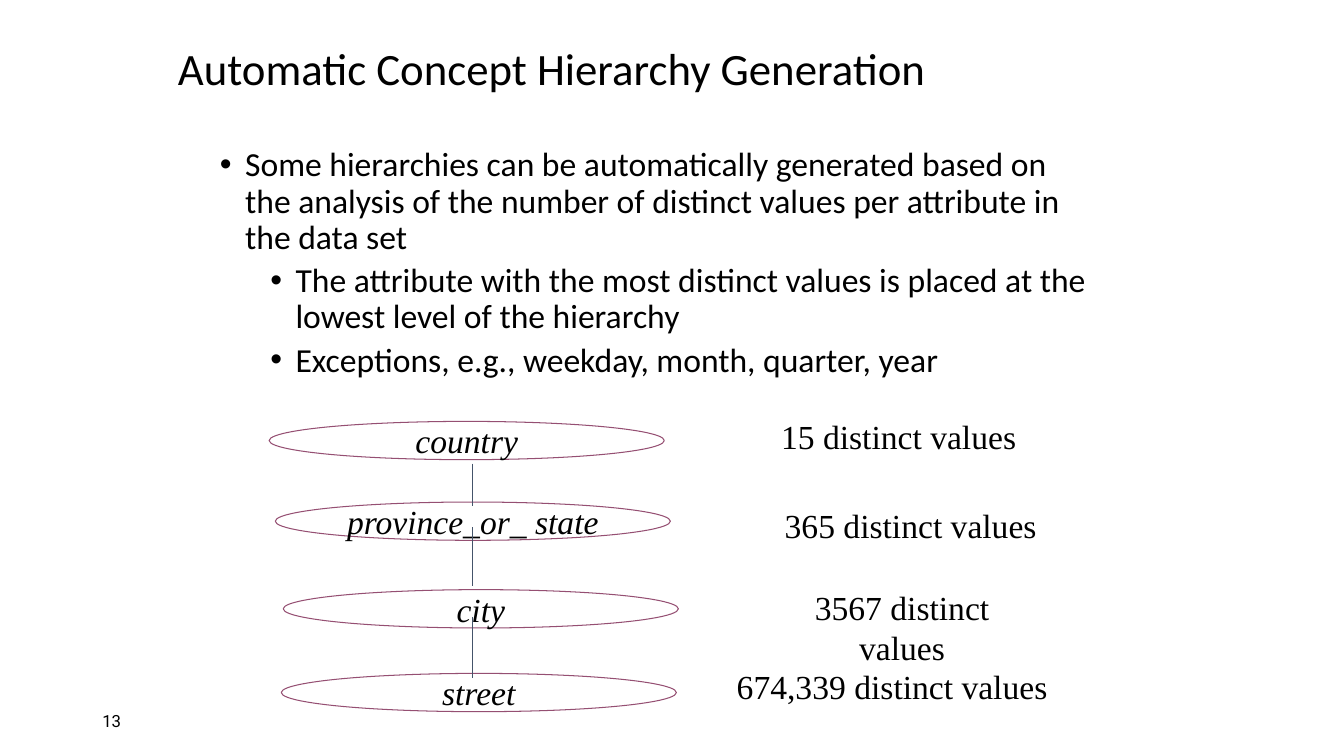
from dataclasses import dataclass

import lxml.etree
import pptx
import pptx.dml.color
import pptx.enum.shapes
import pptx.enum.text
import pptx.oxml.ns
import pptx.util

Pt = pptx.util.Pt
ALIGN = pptx.enum.text.PP_ALIGN
ANCHOR = pptx.enum.text.MSO_ANCHOR
COLORS = {"text": "000000", "ellipse": "954F72", "link": "44546A"}
SERIF = "Times New Roman"
SANS = "Calibri"
ELLIPSE_SIZE = (282.24, 27.36)
LABEL_HEIGHT = 36
LINK_X = 337.7


@dataclass
class Bullet:
    text: str
    level: int
    indent: float
    space_before: float


@dataclass
class Level:
    name: str
    left: float
    top: float
    count: str
    count_left: float
    count_top: float
    count_width: float
    wrap: bool = False


@dataclass
class Link:
    top: float
    bottom: float


BULLETS = [
    Bullet("Some hierarchies can be automatically generated based on the analysis "
           "of the number of distinct values per attribute in the data set", 0, 18, 0),
    Bullet("The attribute with the most distinct values is placed at the lowest "
           "level of the hierarchy", 1, 54, 5),
    Bullet("Exceptions, e.g., weekday, month, quarter, year", 1, 54, 5),
]
LEVELS = [
    Level("country", 192.24, 301, "15", 550.8, 293.8, 182.2),
    Level("province_or_ state", 196.6, 358.6, "365", 552.2, 357.1, 196.6, True),
    Level("city", 202.3, 421.2, "3567", 541.4, 415.4, 205.9),
    Level("street", 200.9, 481, "674,339", 519.1, 472.3, 236.2),
]
LINKS = [Link(331.2, 361.4), Link(376.6, 418.3), Link(440.6, 484.6)]


def rgb(name: str) -> pptx.dml.color.RGBColor:
    return pptx.dml.color.RGBColor.from_string(COLORS[name])


def format_runs(p, font: str, size: float, italic: bool = False) -> None:
    for r in p.runs:
        r.font.name = font
        r.font.size = Pt(size)
        r.font.italic = italic
        r.font.color.rgb = rgb("text")


def add_text(s, box: tuple, text: str, font: str, size: float, wrap: bool = True):
    tf = s.shapes.add_textbox(*map(Pt, box)).text_frame
    tf.word_wrap = wrap
    tf.text = text
    format_runs(tf.paragraphs[0], font, size)
    return tf


def add_bullets(s, box: tuple, bullets: list[Bullet]) -> None:
    tf = s.shapes.add_textbox(*map(Pt, box)).text_frame
    tf.word_wrap = True
    tf.text = "\n".join(b.text for b in bullets)
    for p, b in zip(tf.paragraphs, bullets):
        p.level = b.level
        pPr = p._p.get_or_add_pPr()
        pPr.set("marL", str(Pt(b.indent)))
        pPr.set("indent", str(Pt(-18)))
        qn = pptx.oxml.ns.qn
        lxml.etree.SubElement(pPr, qn("a:buFont")).set("typeface", "Arial")
        lxml.etree.SubElement(pPr, qn("a:buChar")).set("char", "•")
        p.line_spacing = 0.9
        p.space_before = Pt(b.space_before)
        format_runs(p, SANS, 24)


def add_level(s, level: Level) -> None:
    sp = s.shapes.add_shape(pptx.enum.shapes.MSO_SHAPE.OVAL,
                            Pt(level.left), Pt(level.top), *map(Pt, ELLIPSE_SIZE))
    sp.shadow.inherit = False
    sp.fill.background()
    sp.line.color.rgb = rgb("ellipse")
    sp.line.width = Pt(0.75)
    tf = sp.text_frame
    tf.word_wrap = False
    tf.vertical_anchor = ANCHOR.MIDDLE
    tf.text = level.name
    p = tf.paragraphs[0]
    p.alignment = ALIGN.CENTER
    format_runs(p, SERIF, 24, italic=True)


def add_count(s, level: Level) -> None:
    box = (level.count_left, level.count_top, level.count_width, LABEL_HEIGHT)
    tf = add_text(s, box, f"{level.count} distinct values", SERIF, 24, level.wrap)
    tf.auto_size = pptx.enum.text.MSO_AUTO_SIZE.SHAPE_TO_FIT_TEXT
    tf.paragraphs[0].alignment = ALIGN.CENTER


def add_link(s, link: Link) -> None:
    line = s.shapes.add_connector(pptx.enum.shapes.MSO_CONNECTOR.STRAIGHT,
                                  Pt(LINK_X), Pt(link.top), Pt(LINK_X), Pt(link.bottom))
    line.line.color.rgb = rgb("link")
    line.line.width = Pt(0.75)
    lxml.etree.SubElement(line._element.spPr, pptx.oxml.ns.qn("a:effectLst"))


def main() -> None:
    prs = pptx.Presentation()
    prs.slide_width, prs.slide_height = Pt(960), Pt(540)
    s = prs.slides.add_slide(prs.slide_layouts[6])
    number = add_text(s, (66, 500.5, 216, 28.8), "13", "Roboto", 12)
    number.vertical_anchor = ANCHOR.MIDDLE
    title = add_text(s, (120, 24, 720, 54), "Automatic Concept Hierarchy Generation", SANS, 32)
    title.vertical_anchor = ANCHOR.MIDDLE
    title.paragraphs[0].line_spacing = 0.9
    add_bullets(s, (150, 102, 636, 180), BULLETS)
    for level in LEVELS:
        add_level(s, level)
    for link in LINKS:
        add_link(s, link)
    for level in LEVELS:
        add_count(s, level)
    prs.save("out.pptx")


if __name__ == "__main__":
    main()
